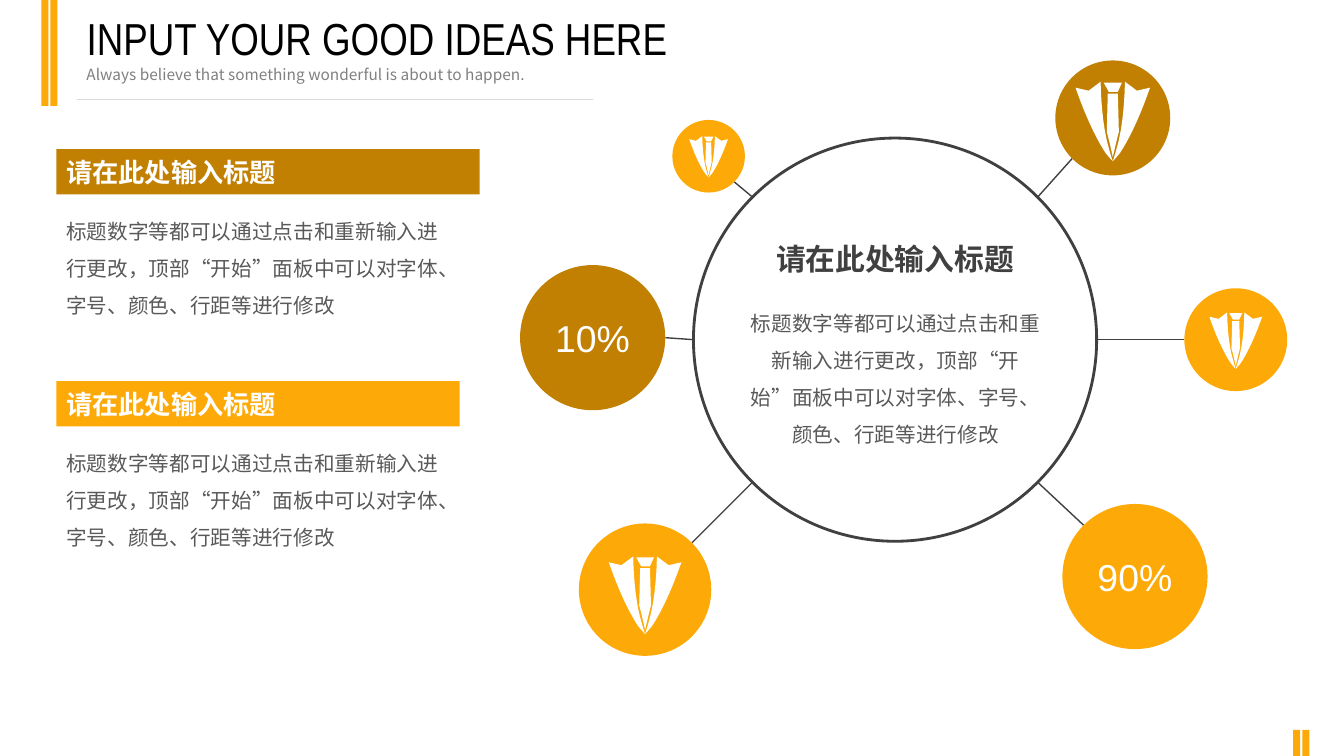
from math import cos, radians, sin

from lxml.etree import SubElement
from pptx import Presentation
from pptx.dml.color import RGBColor
from pptx.enum.shapes import MSO_CONNECTOR as Link, MSO_SHAPE as Shape
from pptx.enum.text import MSO_ANCHOR as Anchor, PP_ALIGN as Align
from pptx.oxml.ns import qn
from pptx.util import Inches, Pt

COLUMNS, ROWS = 40, 22.5
CELL = Inches(7.5) / ROWS

COLORS = {
    "gold": "FDA907", "brown": "C18002", "dark": "404040", "body": "595959",
    "muted": "808080", "rule": "D9D9D9", "white": "FFFFFF", "black": "000000",
}
CJK_FONT = "Noto Sans CJK SC"
HEADING = "请在此处输入标题"
BODY = "标题数字等都可以通过点击和重新输入进行更改，顶部“开始”面板中可以对字体、字号、颜色、行距等进行修改"

HUB_X, HUB_Y, HUB_RADIUS = 26.64, 10.11, 6
# centre column, centre row, radius, angle seen from the hub, colour,
# then a label or the icon's top row and height
SATELLITES = [
    (33.12, 3.51, 1.71, -45, "brown", (2.43, 2.37)),
    (21.09, 4.65, 1.08, -135, "gold", (4.05, 1.23)),
    (17.64, 10.05, 2.16, 180, "brown", "10%"),
    (33.78, 17.16, 2.16, 45, "gold", "90%"),
    (19.2, 17.55, 1.97, 135, "gold", (16.56, 2.31)),
    (36.78, 10.11, 1.53, 0, "gold", (9.3, 1.68)),
]
SECTIONS = [(4.44, 12.6, "brown"), (11.34, 12, "gold")]

# Suit icon: two coordinates make a line, six make a Bézier curve.
ICON_HEIGHT = 79
KNOT = [(5, 10), (9, 1), (-9, 1), (-4, 10)]
TIE = [(-6, 50), (-4, 56, 0, 75, 0, 75), (0, 75, 4, 57, 6, 50), (5, 12), (-5, 12)]
LAPEL = [(-12, 0), (-24, 9), (-37, 6), (-24, 43, -13, 62, -7, 71),
         (-2, 77, 0, 79, 0, 79), (-2, 73, -4, 66, -6, 58), (-12, 32, -12, 0, -12, 0)]


def cells(*counts):
    return [round(count * CELL) for count in counts]


def rgb(name):
    return RGBColor.from_string(COLORS[name])


def add_run(para, text, size, color, font="Arial", bold=False):
    span = para.add_run()
    span.text = text
    span.font.name = font
    span.font.size = Pt(size)
    span.font.bold = bold
    span.font.color.rgb = rgb(color)
    SubElement(span.font._element, qn("a:ea"), typeface=CJK_FONT)


def add_text(slide, area, text, size, color, align=Align.LEFT, spacing=1, wrap=True, **style):
    frame = slide.shapes.add_textbox(*cells(*area)).text_frame
    frame.word_wrap = wrap
    para = frame.paragraphs[0]
    para.alignment = align
    para.line_spacing = spacing
    add_run(para, text, size, color, **style)


def add_figure(slide, kind, area, fill=None):
    figure = slide.shapes.add_shape(kind, *cells(*area))
    figure.shadow.inherit = False
    figure.line.fill.background()
    if fill:
        figure.fill.solid()
        figure.fill.fore_color.rgb = rgb(fill)
    else:
        figure.fill.background()
    return figure


def add_label(figure, text, size, align, bold=False):
    frame = figure.text_frame
    frame.vertical_anchor = Anchor.MIDDLE
    para = frame.paragraphs[0]
    para.alignment = align
    add_run(para, text, size, "white", bold=bold)


def add_circle(slide, x, y, radius, fill=None):
    area = (x - radius, y - radius, 2 * radius, 2 * radius)
    return add_figure(slide, Shape.OVAL, area, fill)


def add_line(slide, start, end, color, width):
    line = slide.shapes.add_connector(Link.STRAIGHT, *cells(*start, *end))
    line.line.color.rgb = rgb(color)
    line.line.width = Pt(width)
    SubElement(line._element.spPr, qn("a:effectLst"))


def rim_point(x, y, radius, angle):
    return x + radius * cos(radians(angle)), y + radius * sin(radians(angle))


def flatten(outline, steps=8):
    """Turn lines and curves into a list of points."""
    points = [outline[0]]
    for segment in outline[1:]:
        if len(segment) == 2:
            points.append(segment)
            continue
        controls = [points[-1], segment[:2], segment[2:4], segment[4:]]
        for step in range(1, steps + 1):
            t = step / steps
            weights = ((1 - t) ** 3, 3 * t * (1 - t) ** 2, 3 * t * t * (1 - t), t ** 3)
            points.append(tuple(sum(w * control[axis] for w, control in zip(weights, controls))
                                for axis in (0, 1)))
    return points


def add_suit_icon(slide, x, top, height):
    group = slide.shapes.add_group_shape()
    for outline, side in ((KNOT, 1), (TIE, 1), (LAPEL, 1), (LAPEL, -1)):
        scale = height / ICON_HEIGHT
        points = [cells(x + side * px * scale, top + py * scale) for px, py in flatten(outline)]
        builder = group.shapes.build_freeform(*points[0])
        builder.add_line_segments(points[1:], close=True)
        part = builder.convert_to_shape()
        part.shadow.inherit = False
        part.fill.solid()
        part.fill.fore_color.rgb = rgb("white")
        part.line.fill.background()


def add_satellite(slide, x, y, radius, angle, color, content):
    add_line(slide, rim_point(HUB_X, HUB_Y, HUB_RADIUS, angle),
             rim_point(x, y, radius, angle + 180), "dark", 1)
    circle = add_circle(slide, x, y, radius, color)
    if isinstance(content, str):
        add_label(circle, content, 26.7, Align.CENTER)
    else:
        add_suit_icon(slide, x, *content)


def add_header(slide):
    for left, top, height in ((1.23, 0, 3.15), (38.49, 21.72, 0.78)):
        for shift in (0, 0.27):
            add_figure(slide, Shape.RECTANGLE, (left + shift, top, 0.21, height), "gold")
    add_line(slide, (2.28, 2.97), (17.64, 2.97), "rule", 0.75)
    add_text(slide, (2.28, 1.8, 21.18, 0.87),
             "Always believe that something wonderful is about to happen.",
             11, "muted", font=CJK_FONT)
    title = slide.shapes.title
    title.left, title.top, title.width, title.height = cells(2.28, 0.18, 26.01, 1.92)
    title.text_frame.vertical_anchor = Anchor.TOP
    para = title.text_frame.paragraphs[0]
    para.alignment = Align.LEFT
    add_run(para, "INPUT YOUR GOOD IDEAS HERE", 32, "black", font="Arial Narrow")


def add_section(slide, top, width, color):
    banner = add_figure(slide, Shape.RECTANGLE, (1.68, top, width, 1.35), color)
    add_label(banner, HEADING, 18.7, Align.LEFT, bold=True)
    add_text(slide, (1.68, top + 1.56, 12, 3.51), BODY, 14.7, "body",
             spacing=1.5, font=CJK_FONT)


def add_hub(slide):
    hub = add_circle(slide, HUB_X, HUB_Y, HUB_RADIUS)
    hub.line.color.rgb = rgb("dark")
    hub.line.width = Pt(2)
    add_text(slide, (21.93, 8.73, 9.45, 4.62), BODY, 14.7, "body",
             align=Align.CENTER, spacing=1.5, font=CJK_FONT)
    add_text(slide, (22.74, 7.02, 7.8, 1.38), HEADING, 21.3, "dark",
             align=Align.CENTER, wrap=False, bold=True)


def main():
    deck = Presentation()
    deck.slide_width, deck.slide_height = cells(COLUMNS, ROWS)
    slide = deck.slides.add_slide(deck.slide_layouts[5])
    add_header(slide)
    add_hub(slide)
    for satellite in SATELLITES:
        add_satellite(slide, *satellite)
    for section in SECTIONS:
        add_section(slide, *section)
    deck.save("out.pptx")


if __name__ == "__main__":
    main()
